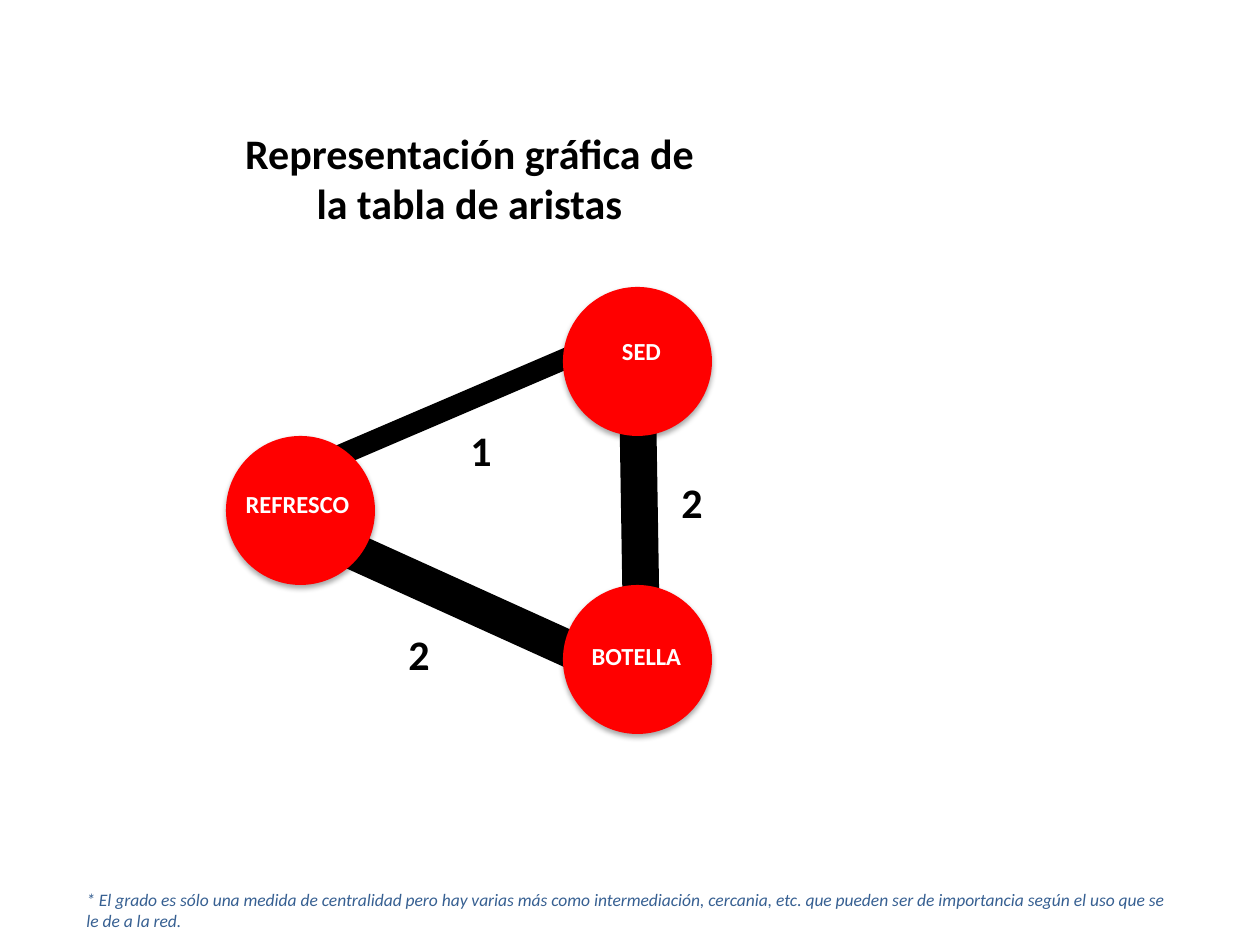
from lxml import etree
from pptx import Presentation
from pptx.dml.color import RGBColor
from pptx.enum.shapes import MSO_CONNECTOR, MSO_SHAPE
from pptx.enum.text import MSO_ANCHOR, MSO_AUTO_SIZE, PP_ALIGN
from pptx.oxml import parse_xml
from pptx.oxml.ns import nsdecls, qn
from pptx.util import Pt

PX = 914400 // 126
STRAIGHT, OVAL = MSO_CONNECTOR.STRAIGHT, MSO_SHAPE.OVAL
TOP, NO_FIT = MSO_ANCHOR.TOP, MSO_AUTO_SIZE.NONE
FIT_SHAPE = MSO_AUTO_SIZE.SHAPE_TO_FIT_TEXT
LEFT, CENTER = PP_ALIGN.LEFT, PP_ALIGN.CENTER

NODE_SIZE = 149
TITLE = "Representación gráfica de la tabla de aristas"
FOOTNOTE = ("* El grado es sólo una medida de centralidad pero hay varias más "
            "como intermediación, cercania, etc. que pueden ser de importancia "
            "según el uso que se le de a la red.")

TITLE_FONT = {"size": 24, "bold": True, "color": "000000"}
NODE_FONT = {"size": 14, "bold": True, "color": "FFFFFF"}
NOTE_FONT = {"size": 10, "italic": True, "color": "376092"}

# start x, start y, end x, end y, width in points
EDGES = [(641, 605, 638, 423, 21),
         (602, 664, 315, 534, 21),
         (315, 466, 593, 347, 12)]
# circle left, top; name; name box
NODES = [(563, 287, "SED", (562, 330, 159, 43)),
         (563, 585, "BOTELLA", (549, 635, 175, 43)),
         (226, 436, "REFRESCO", (213, 483, 169, 43))]
# weight, left, top
WEIGHTS = [("2", 660, 470), ("2", 387, 622), ("1", 449, 418)]


def px(*values):
    """Turn picture pixels into EMU."""
    return [v * PX for v in values]


def rgb(value):
    """Turn a hex string into a colour."""
    return RGBColor.from_string(value)


def write(s, text, font, align=CENTER, fit=NO_FIT):
    """Put one formatted paragraph into a shape."""
    tf = s.text_frame
    frame = {"word_wrap": True, "auto_size": fit, "vertical_anchor": TOP}
    for name, value in frame.items():
        setattr(tf, name, value)
    p = tf.paragraphs[0]
    p.alignment = align
    r = p.add_run()
    r.text = text
    values = {"name": "Calibri", **font, "size": Pt(font["size"])}
    r.font.color.rgb = rgb(values.pop("color"))
    for name, value in values.items():
        setattr(r.font, name, value)


def add_title(s, text, box):
    """Place and fill the title placeholder."""
    title = s.shapes.title
    for name, value in zip(("left", "top", "width", "height"), px(*box)):
        setattr(title, name, value)
    write(title, text, TITLE_FONT)


def add_text(shapes, text, box, font, align=CENTER, fit=NO_FIT):
    """Add a wrapping text box."""
    write(shapes.add_textbox(*px(*box)), text, font, align, fit)


def add_edge(shapes, x1, y1, x2, y2, width):
    """Add a thick black line without shadow."""
    line = shapes.add_connector(STRAIGHT, *px(x1, y1, x2, y2))
    line.line.color.rgb = rgb("000000")
    line.line.width = Pt(width)
    etree.SubElement(line._element.spPr, qn("a:effectLst"))


def add_node(shapes, left, top):
    """Add a red circle with a soft shadow below it."""
    sp = shapes.add_shape(OVAL, *px(left, top, NODE_SIZE, NODE_SIZE))
    sp.fill.solid()
    sp.fill.fore_color.rgb = rgb("FF0000")
    sp.line.fill.background()
    sp.shadow.inherit = False
    effects = sp._element.spPr.find(qn("a:effectLst"))
    effects.append(parse_xml(
        f'<a:outerShdw {nsdecls("a")} blurRad="40000" dist="23000" '
        'dir="5400000" rotWithShape="0"><a:srgbClr val="000000">'
        '<a:alpha val="35000"/></a:srgbClr></a:outerShdw>'))


def add_graph(s):
    """Add the weighted graph as one group."""
    shapes = s.shapes.add_group_shape().shapes
    for edge in EDGES:
        add_edge(shapes, *edge)
    for left, top, _, _ in NODES:
        add_node(shapes, left, top)
    for _, _, name, box in NODES:
        add_text(shapes, name, box, NODE_FONT, fit=FIT_SHAPE)
    for weight, left, top in WEIGHTS:
        add_text(shapes, weight, (left, top, 64, 68), TITLE_FONT)


def main():
    """Build and save the slide."""
    prs = Presentation()
    prs.slide_width, prs.slide_height = px(1260, 945)
    s = prs.slides.add_slide(prs.slide_layouts[5])
    add_title(s, TITLE, (226, 121, 487, 125))
    add_text(s.shapes, FOOTNOTE, (74, 883, 1111, 55), NOTE_FONT, LEFT, FIT_SHAPE)
    add_graph(s)
    prs.save("out.pptx")


main()
